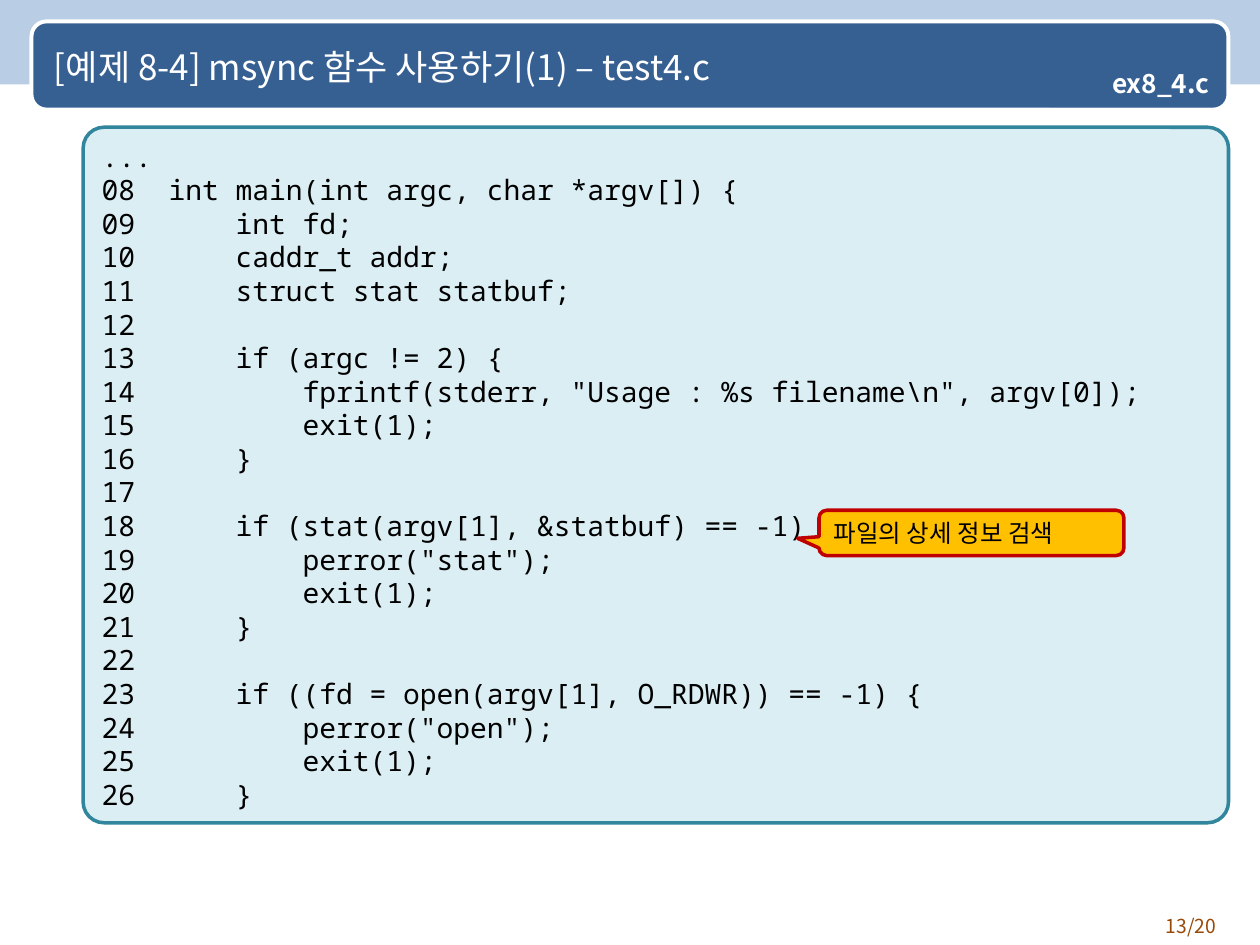
"""Build the slide that lists the first part of the msync example."""
from dataclasses import dataclass
from typing import Optional

from lxml import etree
from pptx import Presentation
from pptx import util as u
from pptx.dml.color import RGBColor
from pptx.enum import shapes, text
from pptx.oxml import ns

SANS = "Noto Sans CJK KR"
MONO = "Noto Sans Mono"
FIRST_LINE = 8
CODE = r"""int main(int argc, char *argv[]) {
    int fd;
    caddr_t addr;
    struct stat statbuf;

    if (argc != 2) {
        fprintf(stderr, "Usage : %s filename\n", argv[0]);
        exit(1);
    }

    if (stat(argv[1], &statbuf) == -1) {
        perror("stat");
        exit(1);
    }

    if ((fd = open(argv[1], O_RDWR)) == -1) {
        perror("open");
        exit(1);
    }"""


@dataclass
class Label:
    lines: list[str]
    size: float
    color: str
    font: str = SANS
    bold: bool = False
    align: text.PP_ALIGN = text.PP_ALIGN.LEFT
    anchor: text.MSO_ANCHOR = text.MSO_ANCHOR.MIDDLE
    margins: tuple[float, float] = (0.1, 0.05)
    line_spacing: Optional[float] = None


@dataclass
class Panel:
    box: tuple[float, float, float, float]
    kind: shapes.MSO_SHAPE = shapes.MSO_SHAPE.RECTANGLE
    fill: Optional[str] = None
    line: Optional[str] = None
    line_width: float = 2
    adjustments: tuple[float, ...] = ()
    label: Optional[Label] = None


def rgb(value: str) -> RGBColor:
    return RGBColor.from_string(value)


def write_label(frame, label: Label) -> None:
    frame.word_wrap = True
    frame.vertical_anchor = label.anchor
    side, end = (u.Inches(margin) for margin in label.margins)
    frame.margin_left = frame.margin_right = side
    frame.margin_top = frame.margin_bottom = end
    frame.text = "\n".join(label.lines)
    for paragraph in frame.paragraphs:
        paragraph.alignment = label.align
        paragraph.line_spacing = label.line_spacing
        font = paragraph.font
        font.size, font.bold, font.name = u.Pt(label.size), label.bold, label.font
        font.color.rgb = rgb(label.color)
        defaults = paragraph._p.pPr.find(ns.qn("a:defRPr"))
        etree.SubElement(defaults, ns.qn("a:ea"), typeface=label.font)


def draw_panel(slide, panel: Panel) -> None:
    box = [u.Inches(length) for length in panel.box]
    if panel.fill is None:
        shape = slide.shapes.add_textbox(*box)
    else:
        shape = slide.shapes.add_shape(panel.kind, *box)
        shape.shadow.inherit = False
        shape.fill.solid()
        shape.fill.fore_color.rgb = rgb(panel.fill)
        for index, value in enumerate(panel.adjustments):
            shape.adjustments[index] = value
        if panel.line:
            shape.line.color.rgb = rgb(panel.line)
            shape.line.width = u.Pt(panel.line_width)
        else:
            shape.line.fill.background()
    if panel.label:
        write_label(shape.text_frame, panel.label)


def main() -> None:
    rounded = shapes.MSO_SHAPE.ROUNDED_RECTANGLE
    right = text.PP_ALIGN.RIGHT
    listing = ["..."] + [
        f"{number:02}  {line}".rstrip()
        for number, line in enumerate(CODE.splitlines(), FIRST_LINE)
    ]
    panels = [
        Panel((-0.01, 0, 10.02, 0.67), fill="B9CDE5"),
        Panel((0.25, 0.17, 9.5, 0.7), rounded, "376092", "FFFFFF", 2.25, (0.17,)),
        Panel((8.92, 7.21, 0.83, 0.29),
              label=Label(["13/20"], 11, "984807", align=right,
                          anchor=text.MSO_ANCHOR.TOP)),
        Panel((0.33, 0.19, 9.25, 0.67),
              label=Label(["[예제 8-4] msync 함수 사용하기(1) – test4.c"], 20, "FFFFFF")),
        Panel((0.66, 1.01, 9.09, 5.52), rounded, "DBEEF4", "31859C",
              adjustments=(0.03,),
              label=Label(listing, 16, "000000", MONO, align=text.PP_ALIGN.JUSTIFY)),
        Panel((8.33, 0.5, 1.33, 0.35), fill="376092",
              label=Label(["ex8_4.c"], 15, "FFFFFF", bold=True, align=right,
                          margins=(0.06, 0.06), line_spacing=0.9)),
        Panel((6.5, 4.05, 2.42, 0.36), shapes.MSO_SHAPE.ROUNDED_RECTANGULAR_CALLOUT,
              "FFC000", "C00000", adjustments=(-0.57, 0.12, 0.17),
              label=Label(["파일의 상세 정보 검색"], 14, "000000")),
    ]

    deck = Presentation()
    deck.slide_width, deck.slide_height = u.Inches(10), u.Inches(7.5)
    slide = deck.slides.add_slide(deck.slide_layouts[6])
    for panel in panels:
        draw_panel(slide, panel)
    deck.save("out.pptx")


if __name__ == "__main__":
    main()
